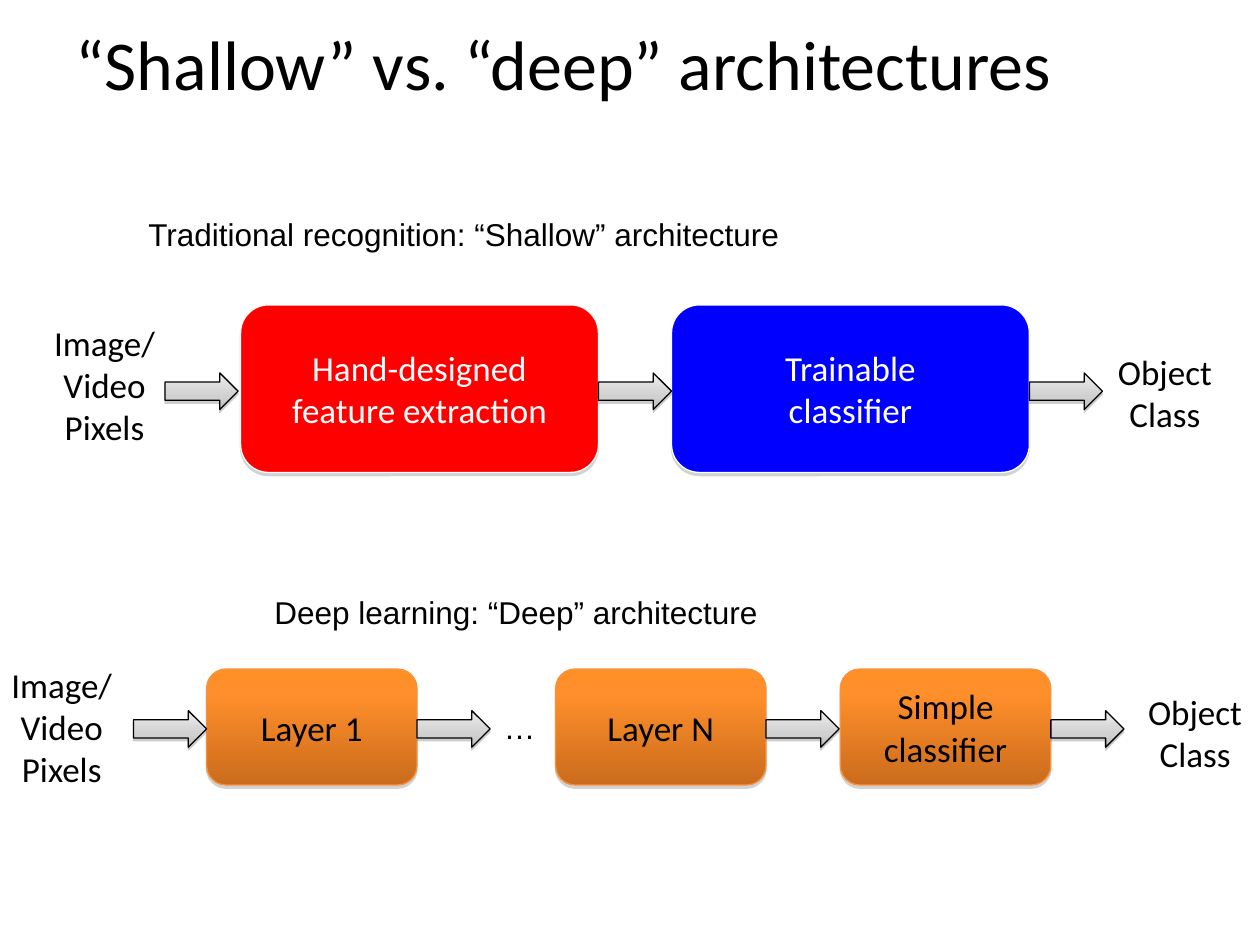
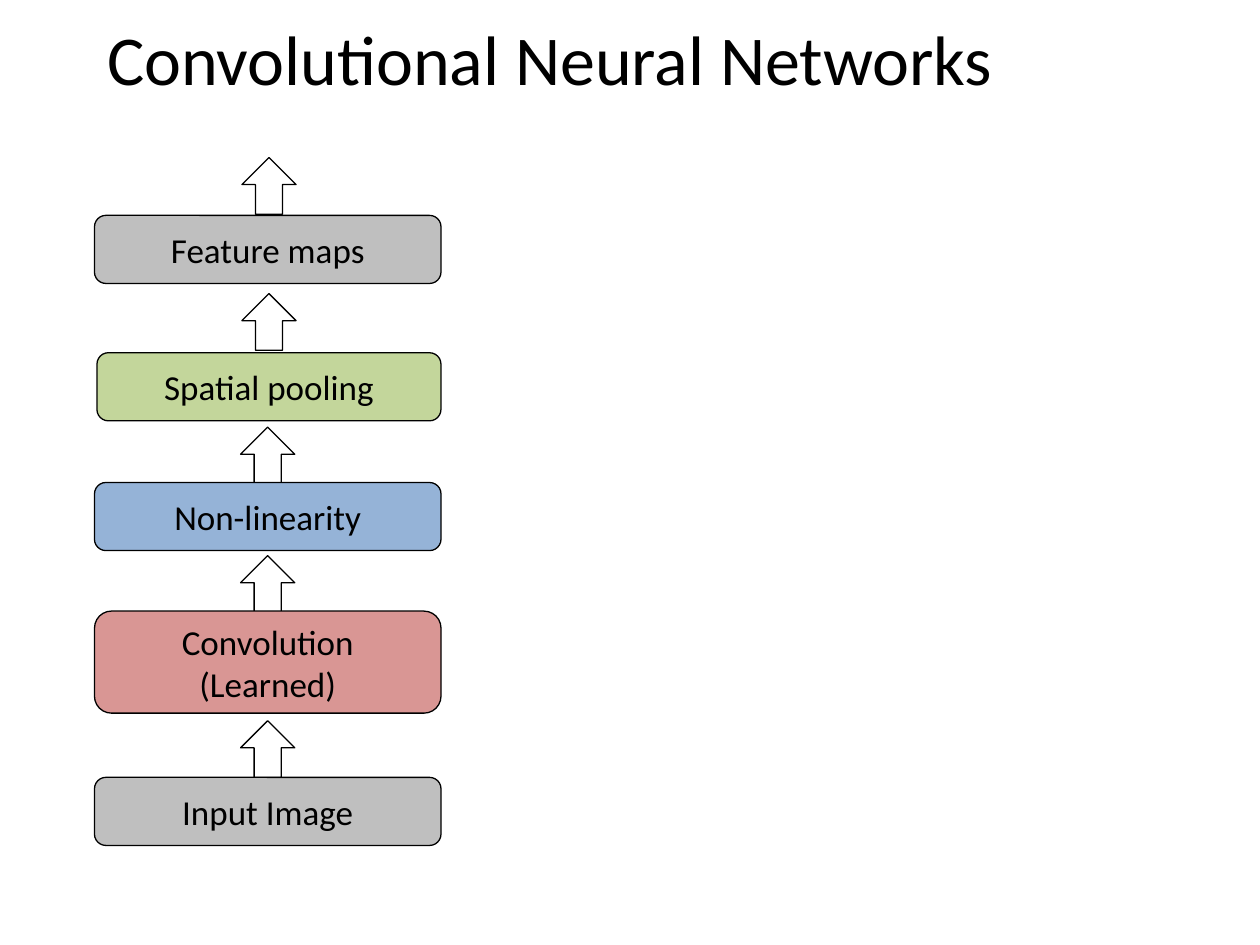
"""Two slides: shallow and deep architectures, and the stages of a convolutional network."""
from lxml import etree
from pptx import Presentation
from pptx.dml.color import RGBColor
from pptx.enum import shapes, text
from pptx.oxml.ns import qn
from pptx.util import Inches, Pt

COLORS = {
    "black": "000000", "white": "FFFFFF", "red": "FF0000", "blue": "0000FF",
    "orange edge": "F69240", "shadow": "808080", "gray": "BFBFBF",
    "rose": "D99694", "sky": "95B3D7", "green": "C3D69B",
}
GRADIENTS = {
    "orange": [(0, "FF8F26"), (20, "FF8F2A"), (100, "CB6C1D")],
    "silver": [(0, "EDEDED"), (65, "D0D0D0"), (100, "BCBCBC")],
}
SHAPE = shapes.MSO_SHAPE
CENTER, LEFT = text.PP_ALIGN.CENTER, text.PP_ALIGN.LEFT
MIDDLE, TOP = text.MSO_ANCHOR.MIDDLE, text.MSO_ANCHOR.TOP


def write(holder, words, size=20, font="Calibri", color="black", align=CENTER, anchor=MIDDLE):
    frame = holder.text_frame
    frame.text = words
    frame.word_wrap = True
    frame.auto_size = text.MSO_AUTO_SIZE.NONE
    frame.vertical_anchor = anchor
    for paragraph in frame.paragraphs:
        paragraph.alignment = align
        paragraph.font.size = Pt(size)
        paragraph.font.name = font
        paragraph.font.color.rgb = RGBColor.from_string(COLORS[color])


def block(slide, kind, box, fill, edge="black", shadow=None):
    shape = slide.shapes.add_shape(kind, *map(Inches, box))
    shape.line.color.rgb = RGBColor.from_string(COLORS[edge])
    shape.line.width = Pt(0.75)
    if fill in GRADIENTS:
        shape.fill.gradient()
        shape.fill.gradient_angle = 270
        stops = shape.element.spPr.find(".//" + qn("a:gsLst"))
        stops.clear()
        for place, tone in GRADIENTS[fill]:
            stop = etree.SubElement(stops, qn("a:gs"), pos=str(place * 1000))
            etree.SubElement(stop, qn("a:srgbClr"), val=tone)
    else:
        shape.fill.solid()
        shape.fill.fore_color.rgb = RGBColor.from_string(COLORS[fill])
    shape.shadow.inherit = False
    if shadow:
        distance, opacity = shadow
        effects = shape.element.spPr.find(qn("a:effectLst"))
        outer = etree.SubElement(effects, qn("a:outerShdw"), blurRad="0", dist=str(Pt(distance)),
                                 dir="5400000", rotWithShape="0")
        tone = etree.SubElement(outer, qn("a:srgbClr"), val=COLORS["shadow"])
        etree.SubElement(tone, qn("a:alpha"), val=str(opacity * 1000))
    return shape


deck = Presentation()
deck.slide_width, deck.slide_height = Inches(10), Inches(7.5)

pages = []
for heading, box in [
    ("“Shallow” vs. “deep” architectures", (0.5, 0, 9, 1)),
    ("Convolutional Neural Networks", (0.75, 0, 9.5, 0.92)),
]:
    page = deck.slides.add_slide(deck.slide_layouts[5])
    title = page.shapes.title
    title.left, title.top, title.width, title.height = map(Inches, box)
    write(title, heading, size=40, align=LEFT)
    pages.append(page)
architectures, network = pages

shallow_stages = [
    (1.91, "Hand-designed\vfeature extraction", "red", "white", "white"),
    (5.33, "Trainable\vclassifier", "blue", "white", "white"),
]
deep_stages = [
    (left, label, "orange", "orange edge", "black")
    for left, label in [(1.64, "Layer 1"), (4.41, "Layer N"), (6.67, "Simple classifier")]
]
for stages, top, width, height, first_arrow, arrow_top in [
    (shallow_stages, 2.42, 2.84, 1.33, 1.31, 2.96),
    (deep_stages, 5.31, 1.67, 0.92, 1.06, 5.64),
]:
    for left, label, fill, edge, ink in stages:
        stage = block(architectures, SHAPE.ROUNDED_RECTANGLE, (left, top, width, height),
                      fill, edge, shadow=(1.8, 35))
        write(stage, label, color=ink)
    for left in [first_arrow] + [stage[0] + width for stage in stages]:
        block(architectures, SHAPE.RIGHT_ARROW, (left, arrow_top, 0.58, 0.29),
              "silver", shadow=(1.6, 38))

pixels = "Image/ Video\nPixels"
outcome = "Object\vClass"
caption = {"size": 18, "font": "Arial", "align": LEFT}
for words, box, look in [
    (pixels, (0.08, 2.5, 1.5, 1.11), {}),
    (outcome, (8.74, 2.73, 1.01, 0.77), {}),
    (pixels, (-0.25, 5.22, 1.48, 1.11), {}),
    (outcome, (8.8, 5.43, 1.37, 0.77), {}),
    ("Traditional recognition: “Shallow” architecture", (1.08, 1.66, 7.66, 0.5), caption),
    ("Deep learning: “Deep” architecture", (2.08, 4.66, 5.81, 0.5), caption),
    ("…", (3.9, 5.57, 0.54, 0.5), caption),
]:
    label = architectures.shapes.add_textbox(*map(Inches, box))
    write(label, words, anchor=TOP, **look)

for words, left, top, height, fill, arrow_left, arrow_top in [
    ("Input Image", 0.75, 6.17, 0.54, "gray", 1.91, 5.72),
    ("Convolution (Learned)", 0.75, 4.85, 0.81, "rose", 1.91, 4.41),
    ("Non-linearity", 0.75, 3.83, 0.54, "sky", 1.91, 3.39),
    ("Spatial pooling", 0.77, 2.8, 0.54, "green", 1.92, 2.33),
    ("Feature maps", 0.75, 1.71, 0.54, "gray", 1.92, 1.25),
]:
    block(network, SHAPE.UP_ARROW, (arrow_left, arrow_top, 0.43, 0.45), "white")
    layer = block(network, SHAPE.ROUNDED_RECTANGLE, (left, top, 3.5 - left, height), fill)
    write(layer, words)

deck.save("out.pptx")
